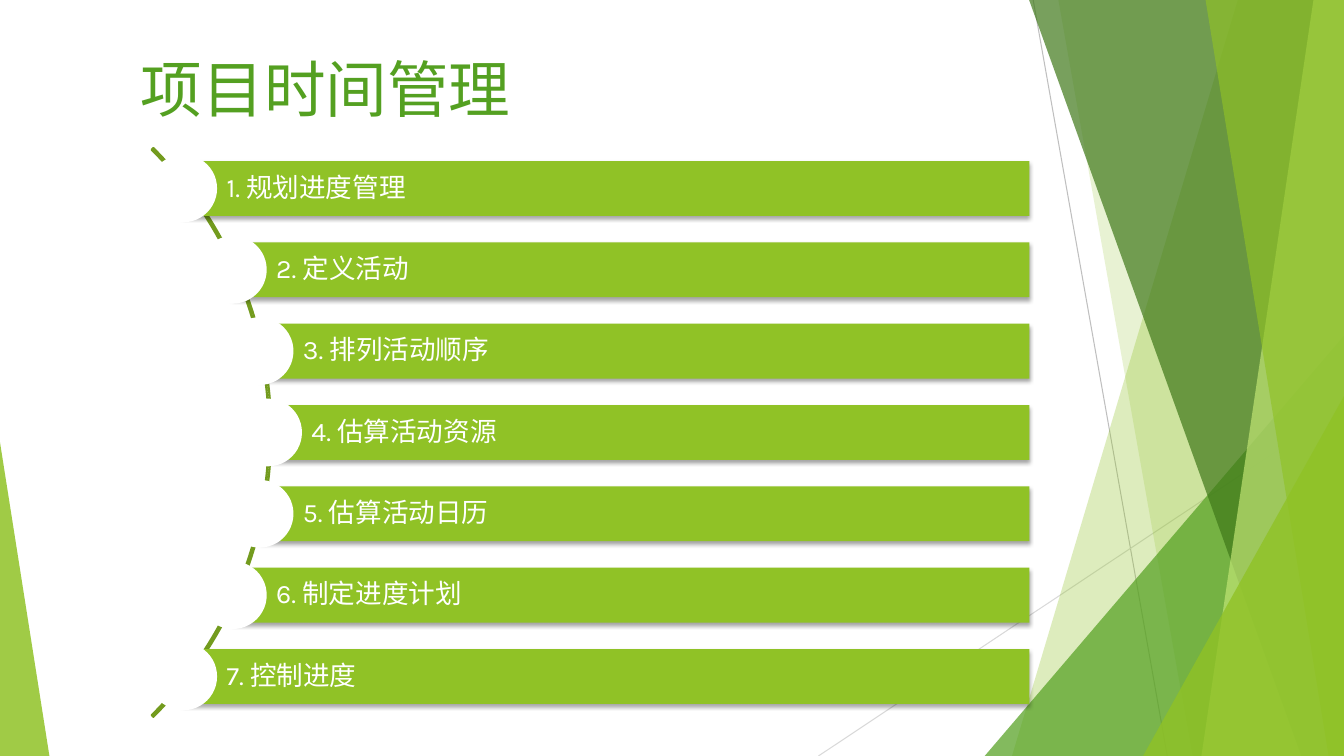
"""Build a slide listing the seven project time management processes along an arc."""
import math

from lxml import etree
from pptx import Presentation
from pptx import util as u
from pptx.dml.color import RGBColor
from pptx.enum import shapes, text
from pptx.oxml import ns

TITLE = "项目时间管理"
STEPS = ["规划进度管理", "定义活动", "排列活动顺序", "估算活动资源",
         "估算活动日历", "制定进度计划", "控制进度"]

WHITE = RGBColor(0xFF, 0xFF, 0xFF)
LIME = RGBColor(0x90, 0xC2, 0x26)
PALE_LIME = RGBColor(0xC0, 0xE4, 0x74)
GREEN = RGBColor(0x54, 0xA0, 0x21)
DARK_GREEN = RGBColor(0x3F, 0x78, 0x19)
ARC_GREEN = RGBColor(0x73, 0x9B, 0x1E)
GRAY = RGBColor(0xBF, 0xBF, 0xBF)
LIGHT_GRAY = RGBColor(0xD9, 0xD9, 0xD9)

WIDTH, HEIGHT = 960, 540
THIN_LINES = [((738, 0), (833.8, 540), GRAY), ((960, 290.2), (584.6, 540), LIGHT_GRAY)]
FACETS = [
    {"edge": (884.2, 722.9), "color": LIME, "opacity": 30},
    {"edge": (756, 851.8), "color": LIME, "opacity": 20},
    {"triangle": (703.4, 239.8, 256.6, 300.2), "apex": 1, "color": GREEN, "opacity": 72},
    {"edge": (735.1, 929.5), "color": DARK_GREEN, "opacity": 70},
    {"edge": (938.2, 858.2), "color": PALE_LIME, "opacity": 70},
    {"edge": (861.1, 949), "color": LIME, "opacity": 65},
    {"triangle": (816.5, 283, 143.5, 257), "apex": 1, "color": LIME, "opacity": 80},
    {"triangle": (0, 316, 35.3, 224), "apex": 0, "color": LIME, "opacity": 85},
]

ARC_BOX = (-380.9, 21.6, 574.6, 574.6)
MIDDLE_Y = 308.9
CURVE_X, CURVE_RADIUS = -89.3, 280.8
PITCH, BAR_HEIGHT, BAR_RIGHT = 58.1, 39.2, 735.3
DISC = 48.4


def points(values):
    return [u.Pt(value) for value in values]


def paint(shape, color, opacity=100):
    shape.shadow.inherit = False
    shape.fill.solid()
    shape.fill.fore_color.rgb = color
    shape.line.fill.background()
    if opacity < 100:
        fill_color = shape.fill._xPr.find(".//" + ns.qn("a:srgbClr"))
        etree.SubElement(fill_color, ns.qn("a:alpha"), val=str(opacity * 1000))


def add_shape(slide, kind, box, color):
    shape = slide.shapes.add_shape(kind, *points(box))
    paint(shape, color)
    return shape


def write(shape, content, *, size, font, color, anchor, insets=(7.2, 3.6, 3.6, 3.6)):
    frame = shape.text_frame
    frame.word_wrap = True
    frame.vertical_anchor = anchor
    (frame.margin_left, frame.margin_top,
     frame.margin_right, frame.margin_bottom) = points(insets)
    paragraph = frame.paragraphs[0]
    paragraph.alignment = text.PP_ALIGN.LEFT
    paragraph.line_spacing = 0.9
    run = paragraph.add_run()
    run.text = content
    run.font.size = u.Pt(size)
    run.font.name = font
    run.font.color.rgb = color


def add_bar_shadow(shape):
    effects = shape._element.spPr.find(ns.qn("a:effectLst"))
    shadow = etree.SubElement(effects, ns.qn("a:outerShdw"), blurRad=str(u.Pt(3)),
                              dist=str(u.Pt(2)), dir="5400000", rotWithShape="0")
    color = etree.SubElement(shadow, ns.qn("a:srgbClr"), val="000000")
    etree.SubElement(color, ns.qn("a:alpha"), val="35000")


def add_thin_line(slide, start, end, color):
    line = slide.shapes.add_connector(shapes.MSO_CONNECTOR.STRAIGHT, *points(start + end))
    line.line.color.rgb = color
    line.line.width = u.Pt(0.75)
    etree.SubElement(line._element.spPr, ns.qn("a:effectLst"))


def add_facet(slide, facet):
    if "triangle" in facet:
        shape = slide.shapes.add_shape(shapes.MSO_SHAPE.ISOSCELES_TRIANGLE,
                                       *points(facet["triangle"]))
        shape.adjustments[0] = facet["apex"]
    else:
        top_x, bottom_x = facet["edge"]
        builder = slide.shapes.build_freeform(u.Pt(top_x), 0)
        corners = [(WIDTH, 0), (WIDTH, HEIGHT), (bottom_x, HEIGHT)]
        builder.add_line_segments([points(corner) for corner in corners], close=True)
        shape = builder.convert_to_shape()
    paint(shape, facet["color"], facet["opacity"])


def add_arc(slide):
    arc = slide.shapes.add_shape(shapes.MSO_SHAPE.BLOCK_ARC, *points(ARC_BOX))
    arc.shadow.inherit = False
    for index, value in enumerate((189, 27, 0.003)):
        arc.adjustments[index] = value
    arc.fill.background()
    arc.line.color.rgb = ARC_GREEN
    arc.line.width = u.Pt(1.5)


def add_step(slide, index, step):
    offset = (index - (len(STEPS) - 1) / 2) * PITCH
    left = CURVE_X + math.sqrt(CURVE_RADIUS ** 2 - offset ** 2)
    center_y = MIDDLE_Y + offset
    bar = add_shape(slide, shapes.MSO_SHAPE.RECTANGLE,
                    (left, center_y - BAR_HEIGHT / 2, BAR_RIGHT - left, BAR_HEIGHT), LIME)
    add_bar_shadow(bar)
    write(bar, f"{index + 1}. {step}", size=19, font="Karla", color=WHITE,
          anchor=text.MSO_ANCHOR.MIDDLE, insets=(31, 3.6, 3.6, 3.6))
    add_shape(slide, shapes.MSO_SHAPE.OVAL,
              (left - DISC / 2, center_y - DISC / 2, DISC, DISC), WHITE)


def main():
    presentation = Presentation()
    presentation.slide_width, presentation.slide_height = points((WIDTH, HEIGHT))
    slide = presentation.slides.add_slide(presentation.slide_layouts[6])
    for start, end, color in THIN_LINES:
        add_thin_line(slide, start, end, color)
    for facet in FACETS:
        add_facet(slide, facet)
    title = slide.shapes.add_textbox(*points((93.6, 21.6, 630, 72)))
    write(title, TITLE, size=44, font="Arial", color=GREEN, anchor=text.MSO_ANCHOR.BOTTOM)
    add_arc(slide)
    for index, step in enumerate(STEPS):
        add_step(slide, index, step)
    presentation.save("out.pptx")


if __name__ == "__main__":
    main()
